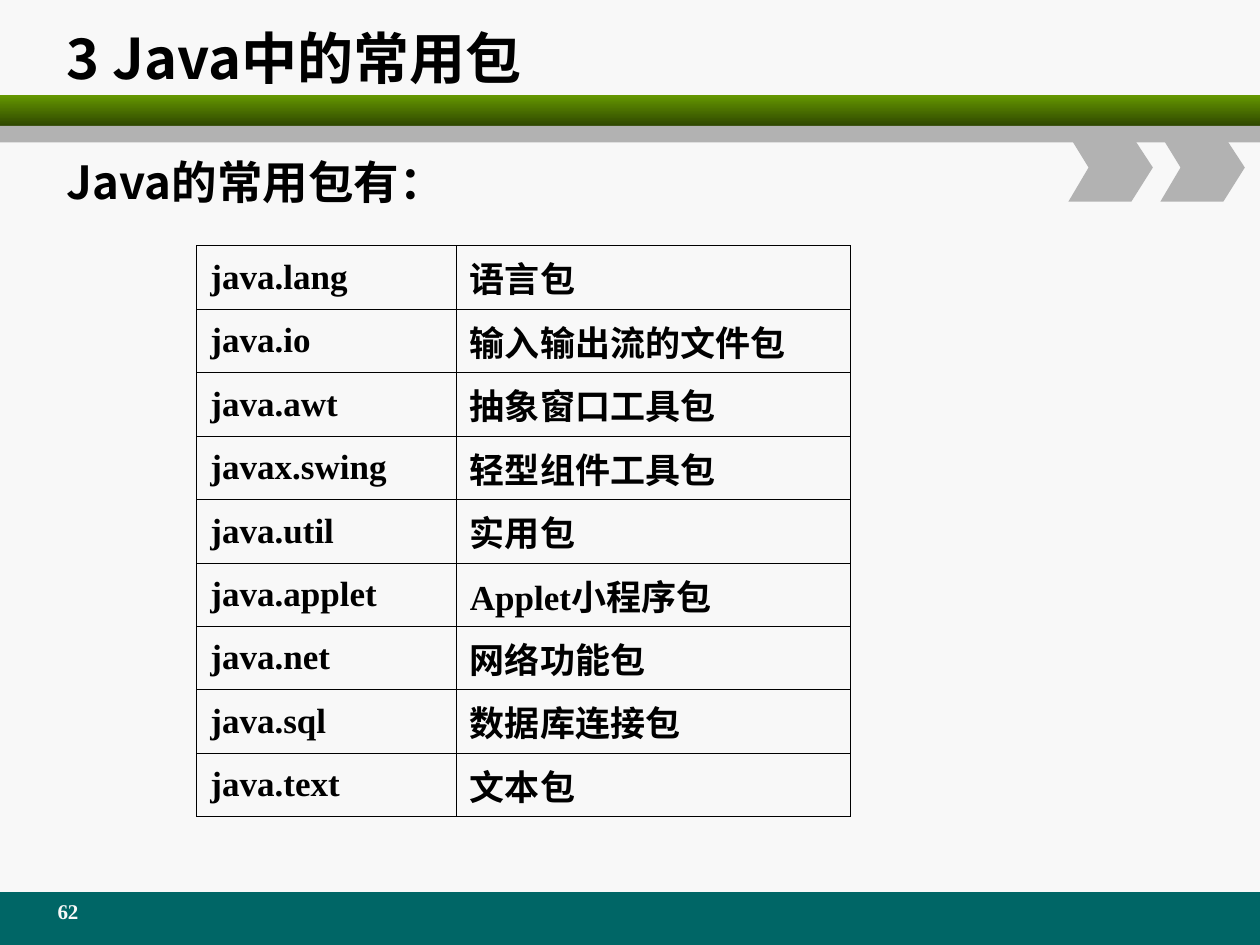
import pptx
import pptx.dml.color
import pptx.enum.shapes
import pptx.enum.text
import pptx.oxml
import pptx.oxml.ns
import pptx.util
from pptx.util import Inches

SANS = "Noto Sans CJK SC"
SERIF = "Times New Roman"
GREY = "B2B2B2"
ROWS = [
    ("java.lang", "语言包"),
    ("java.io", "输入输出流的文件包"),
    ("java.awt", "抽象窗口工具包"),
    ("javax.swing", "轻型组件工具包"),
    ("java.util", "实用包"),
    ("java.applet", "Applet小程序包"),
    ("java.net", "网络功能包"),
    ("java.sql", "数据库连接包"),
    ("java.text", "文本包"),
]


def tint(code):
    """Turn a hex string into a colour."""
    return pptx.dml.color.RGBColor.from_string(code)


def make(tag, **attrs):
    """Build an empty drawing element with the given attributes."""
    node = pptx.oxml.parse_xml(f'<a:{tag} {pptx.oxml.ns.nsdecls("a")}/>')
    for key, value in attrs.items():
        node.set(key, str(value))
    return node


def write(frame, text, size, face, code="000000", align="LEFT", anchor="TOP"):
    """Put one bold line of text into a frame."""
    frame.text = text
    frame.word_wrap = True
    frame.vertical_anchor = pptx.enum.text.MSO_ANCHOR[anchor]
    para = frame.paragraphs[0]
    para.alignment = pptx.enum.text.PP_ALIGN[align]
    para.space_before = pptx.util.Pt(0)
    run = para.runs[0]
    run.font.size = pptx.util.Pt(size)
    run.font.bold = True
    run.font.name = face
    run.font.color.rgb = tint(code)
    run.font._element.append(make("ea", typeface=SANS))


def place(shape, left, top, width, height):
    """Move and size a shape in inches."""
    shape.left, shape.top = Inches(left), Inches(top)
    shape.width, shape.height = Inches(width), Inches(height)


def paint(shape, code):
    """Give a shape a plain fill without line or shadow."""
    shape.shadow.inherit = False
    shape.fill.solid()
    shape.fill.fore_color.rgb = tint(code)
    shape.line.fill.background()


def band(slide, top, height, code):
    """Draw a bar across the whole slide."""
    kind = pptx.enum.shapes.MSO_SHAPE.RECTANGLE
    bar = slide.shapes.add_shape(kind, 0, Inches(top), Inches(10), Inches(height))
    paint(bar, code)
    return bar


def shade(bar, first, last):
    """Fill a bar with a gradient from top to bottom."""
    bar.fill.gradient()
    bar.fill.gradient_angle = 270
    for stop, code in zip(bar.fill.gradient_stops, (first, last)):
        stop.color.rgb = tint(code)


def arrow(slide, left):
    """Draw a chevron that hangs from the grey bar."""
    dots = [(0.5, 0), (0.67, 0.26), (0.5, 0.53), (0, 0.53), (0.16, 0.26)]
    pen = slide.shapes.build_freeform(Inches(left), Inches(1.07))
    pen.add_line_segments([(Inches(left + x), Inches(1.07 + y)) for x, y in dots])
    paint(pen.convert_to_shape(), GREY)


def head(shape, text, size, box, anchor):
    """Fill a placeholder with a line of text without a bullet."""
    place(shape, *box)
    write(shape.text_frame, text, size, SANS, anchor=anchor)
    shape.text_frame.auto_size = pptx.enum.text.MSO_AUTO_SIZE.NONE
    props = shape.text_frame.paragraphs[0]._p.get_or_add_pPr()
    props.set("marL", "0")
    props.set("indent", "0")
    props.append(make("buNone"))


def frame(cell):
    """Draw thin black borders around an unfilled cell."""
    props = cell._tc.get_or_add_tcPr()
    for side in ("lnL", "lnR", "lnT", "lnB"):
        line = make(side, w=pptx.util.Pt(0.45))
        fill = make("solidFill")
        fill.append(make("srgbClr", val="000000"))
        line.append(fill)
        props.append(line)
    cell.fill.background()


def grid(slide):
    """Add the table of packages."""
    spot = [Inches(n) for n in (1.56, 1.95, 5.2, 4.21)]
    table = slide.shapes.add_table(len(ROWS), 2, *spot).table
    table.first_row = table.horz_banding = False
    for col, width in zip(table.columns, (2.06, 3.13)):
        col.width = Inches(width)
    for row, texts in zip(table.rows, ROWS):
        row.height = Inches(0.47)
        for cell, text in zip(row.cells, texts):
            write(cell.text_frame, text, 20, SERIF)
            cell.vertical_anchor = pptx.enum.text.MSO_ANCHOR.MIDDLE
            cell.margin_left = cell.margin_right = Inches(0.11)
            frame(cell)


def main():
    """Build and save the slide."""
    deck = pptx.Presentation()
    deck.slide_width, deck.slide_height = Inches(10), Inches(7.5)
    slide = deck.slides.add_slide(deck.slide_layouts[1])
    slide.background.fill.solid()
    slide.background.fill.fore_color.rgb = tint("F8F8F8")
    band(slide, 7.08, 0.42, "006666")
    shade(band(slide, 0.75, 0.25, "669900"), "669900", "2F4700")
    band(slide, 1, 0.13, GREY)
    for left in (8.48, 9.21):
        arrow(slide, left)
    title, body = slide.placeholders
    head(title, "3 Java中的常用包", 32, (0.43, 0.16, 8.5, 0.58), "MIDDLE")
    head(body, "Java的常用包有：", 26, (0.43, 1.17, 4.17, 0.55), "TOP")
    grid(slide)
    page = slide.shapes.add_textbox(*[Inches(n) for n in (0.25, 7.08, 0.58, 0.33)])
    write(page.text_frame, "62", 12, SERIF, "F8F8F8", "CENTER")
    deck.save("out.pptx")


if __name__ == "__main__":
    main()
